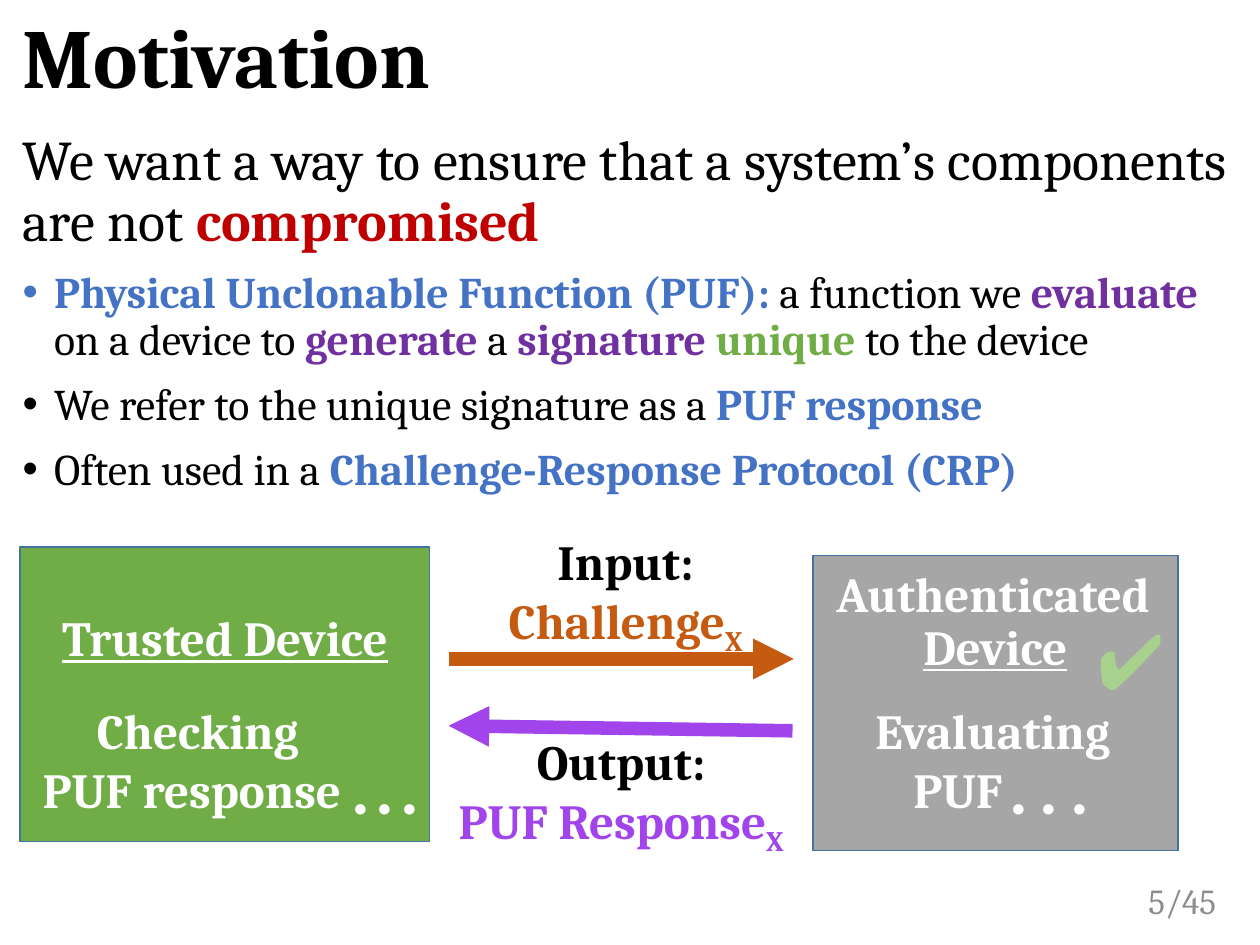
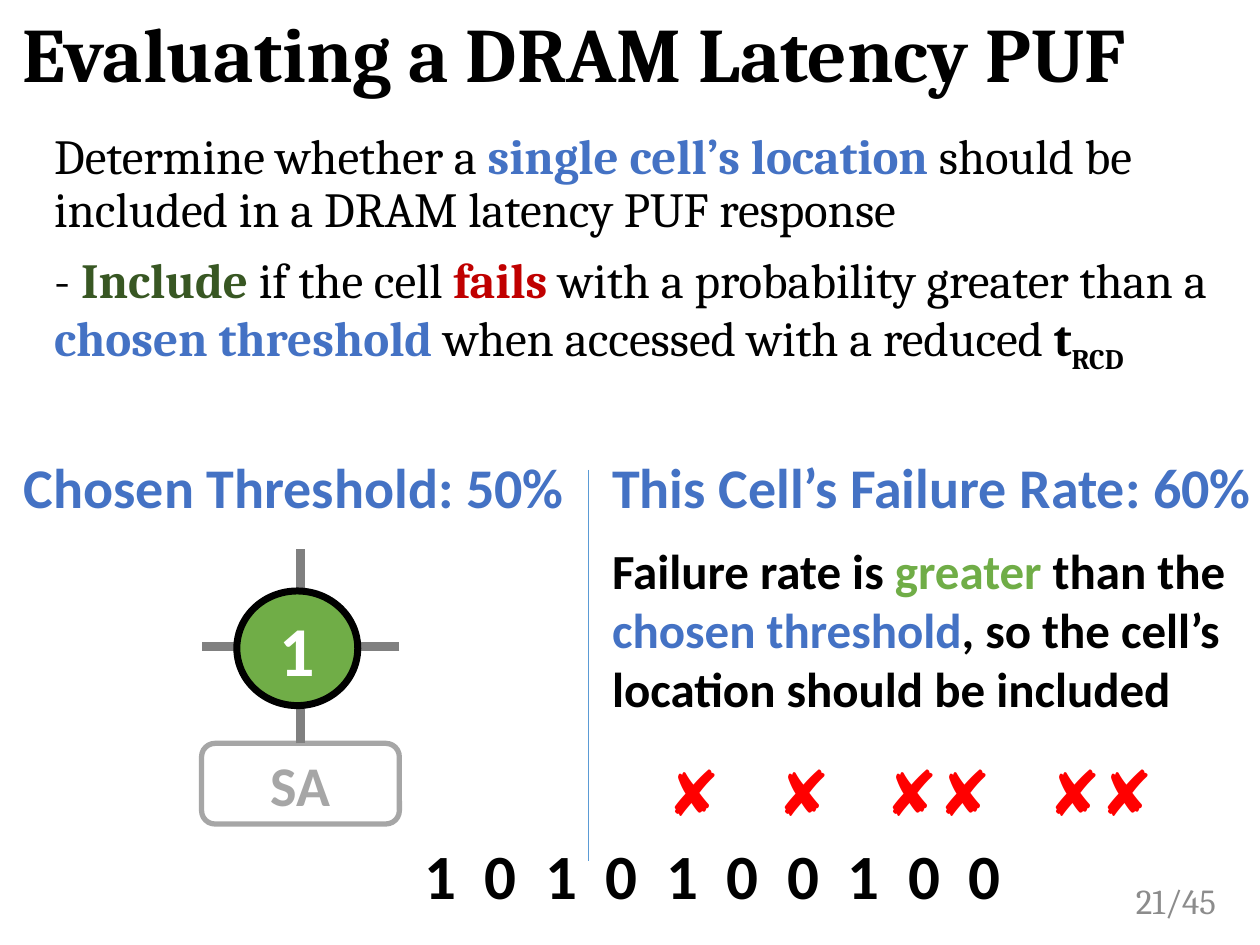
from pptx import Presentation
from pptx.dml.color import RGBColor
from pptx.enum.shapes import MSO_CONNECTOR, MSO_SHAPE
from pptx.enum.text import MSO_ANCHOR, MSO_AUTO_SIZE, PP_ALIGN
from pptx.oxml.ns import qn
from pptx.util import Inches, Pt
from lxml import etree

LEFT, CENTER, RIGHT = PP_ALIGN.LEFT, PP_ALIGN.CENTER, PP_ALIGN.RIGHT
TOP, MIDDLE = MSO_ANCHOR.TOP, MSO_ANCHOR.MIDDLE
NO_AUTOFIT = MSO_AUTO_SIZE.NONE
STRAIGHT = MSO_CONNECTOR.STRAIGHT
RECTANGLE, ROUNDED, OVAL = MSO_SHAPE.RECTANGLE, MSO_SHAPE.ROUNDED_RECTANGLE, MSO_SHAPE.OVAL

SERIF, SANS = "Cambria", "Calibri"
BLACK = RGBColor(0x00, 0x00, 0x00)
WHITE = RGBColor(0xFF, 0xFF, 0xFF)
BLUE = RGBColor(0x44, 0x72, 0xC4)
GREEN = RGBColor(0x70, 0xAD, 0x47)
DARK_GREEN = RGBColor(0x38, 0x57, 0x23)
LIGHT_GREEN = RGBColor(0xA9, 0xD1, 0x8E)
PURPLE = RGBColor(0x70, 0x30, 0xA0)
VIOLET = RGBColor(0xA1, 0x44, 0xEB)
ORANGE = RGBColor(0xC5, 0x5A, 0x11)
DARK_RED = RGBColor(0xC0, 0x00, 0x00)
RED = RGBColor(0xFF, 0x00, 0x00)
GRAY = RGBColor(0xA6, 0xA6, 0xA6)
WIRE_GRAY = RGBColor(0x80, 0x80, 0x80)
PAGE_GRAY = RGBColor(0x8C, 0x8C, 0x8C)
OUTLINE_BLUE = RGBColor(0x43, 0x73, 0x9E)
DIVIDER_BLUE = RGBColor(0x5B, 0x9B, 0xD5)
SLIDE_TOTAL = 45


def place(shape, box):
    shape.left, shape.top, shape.width, shape.height = map(Inches, box)


def write(paragraph, runs, size, color=BLACK, font=SERIF, bold=False, align=LEFT):
    paragraph.alignment = align
    paragraph.font.name = font
    paragraph.font.size = Pt(size)
    paragraph.font.bold = bold
    paragraph.font.color.rgb = color
    for part in [runs] if isinstance(runs, str) else runs:
        text, emphasis, subscript = (part, None, False) if isinstance(part, str) else (*part, False)[:3]
        run = paragraph.add_run()
        run.text = text
        if emphasis is not None:
            run.font.bold = True
            run.font.color.rgb = emphasis
        if subscript:
            run._r.get_or_add_rPr().set("baseline", "-25000")


def fill_frame(frame, lines, **style):
    for index, runs in enumerate(lines):
        paragraph = frame.add_paragraph() if index else frame.paragraphs[0]
        write(paragraph, runs, **style)


def add_text(slide, box, lines, anchor=TOP, **style):
    frame = slide.shapes.add_textbox(*map(Inches, box)).text_frame
    frame.word_wrap = True
    frame.vertical_anchor = anchor
    fill_frame(frame, lines, **style)
    return frame


def add_tabs(paragraph, stops):
    tab_list = etree.SubElement(paragraph._p.get_or_add_pPr(), qn("a:tabLst"))
    for stop in stops:
        etree.SubElement(tab_list, qn("a:tab"), pos=str(Inches(stop)), algn="l")


def add_tabbed_text(slide, box, text, stops, **style):
    frame = add_text(slide, box, [])
    add_tabs(frame.paragraphs[0], stops)
    fill_frame(frame, [text], **style)


def add_block(slide, kind, box, fill, line, line_width, text, **style):
    shape = slide.shapes.add_shape(kind, *map(Inches, box))
    shape.shadow.inherit = False
    shape.fill.solid()
    shape.fill.fore_color.rgb = fill
    shape.line.color.rgb = line
    shape.line.width = Pt(line_width)
    shape.text_frame.vertical_anchor = MIDDLE
    fill_frame(shape.text_frame, [text], bold=True, align=CENTER, **style)
    return shape


def add_line(slide, start, end, color, width, arrow=False):
    connector = slide.shapes.add_connector(STRAIGHT, *map(Inches, (*start, *end)))
    connector.line.color.rgb = color
    connector.line.width = Pt(width)
    if arrow:
        etree.SubElement(connector.line._get_or_add_ln(), qn("a:tailEnd"), type="triangle")
    etree.SubElement(connector._element.spPr, qn("a:effectLst"))
    return connector


def add_base_slide(presentation, title, title_size, number):
    slide = presentation.slides.add_slide(presentation.slide_layouts[1])
    place(slide.shapes.title, (0.08, 0.08, 9.83, 0.81))
    frame = slide.shapes.title.text_frame
    frame.auto_size = NO_AUTOFIT
    frame.vertical_anchor = TOP
    frame.paragraphs[0].line_spacing = 0.9
    fill_frame(frame, [title], size=title_size, bold=True)
    add_text(slide, (8.67, 6.95, 1.08, 0.4), [f"{number}/{SLIDE_TOTAL}"],
             anchor=MIDDLE, size=20, color=PAGE_GRAY, align=RIGHT)
    return slide


def fill_body(slide, box, items):
    body = slide.placeholders[1]
    place(body, box)
    frame = body.text_frame
    frame.auto_size = NO_AUTOFIT
    for index, (size, bulleted, runs) in enumerate(items):
        paragraph = frame.add_paragraph() if index else frame.paragraphs[0]
        paragraph.line_spacing = 0.9
        paragraph.space_before = Pt(10 if index else 0)
        properties = paragraph._p.get_or_add_pPr()
        indent = Inches(0.25) if bulleted else 0
        properties.set("marL", str(indent))
        properties.set("indent", str(-indent))
        if bulleted:
            etree.SubElement(properties, qn("a:buFont"), typeface="Arial")
            etree.SubElement(properties, qn("a:buChar"), char="•")
        else:
            etree.SubElement(properties, qn("a:buNone"))
        write(paragraph, runs, size)


def add_device(slide, box, fill, name, activity_box, activity, indents, dots):
    left, top = box[:2]
    device = add_block(slide, RECTANGLE, box, fill, OUTLINE_BLUE, 1, name, size=28, color=WHITE)
    frame = device.text_frame
    frame.vertical_anchor = TOP
    frame.margin_top = Inches(0.48)
    frame.paragraphs[0].font.underline = True
    frame.paragraphs[0].runs[0].font.underline = True
    x, y, width, height = activity_box
    activity_frame = add_text(slide, (left + x, top + y, width, height), activity,
                              size=28, color=WHITE, bold=True)
    for paragraph, indent in zip(activity_frame.paragraphs, indents):
        paragraph._p.get_or_add_pPr().set("marL", str(Inches(indent)))
    first_dot, dot_step = dots
    for index in range(3):
        add_text(slide, (left + first_dot + index * dot_step, top + y + 0.35, 0.48, 0.77),
                 ["."], size=40, color=WHITE, font=SANS, bold=True)


def add_protocol(slide, left, top):
    add_device(slide, (left + 6.29, top + 0.07, 2.9, 2.34), GRAY, "Device",
               (0.4, 1.1, 2.1, 1.04), ["Evaluating", "PUF"], (0, 0.3), (1.46, 0.245))
    add_device(slide, (left, top, 3.25, 2.34), GREEN, "Trusted Device",
               (0.08, 1.17, 2.8, 1.04), ["Checking", "PUF response"], (0.43, 0), (2.53, 0.195))
    add_text(slide, (left + 6.38, top + 0.08, 2.75, 0.57), ["Authenticated"],
             size=28, color=WHITE, bold=True)
    add_text(slide, (left + 8.45, top + 0.47, 0.82, 0.84), ["✔"],
             size=44, color=LIGHT_GREEN, font=SANS)
    add_line(slide, (left + 3.4, top + 0.89), (left + 6.14, top + 0.89), ORANGE, 7.75, arrow=True)
    add_line(slide, (left + 6.13, top + 1.46), (left + 3.4, top + 1.42), VIOLET, 7.75, arrow=True)
    labels = [((3.7, -0.17, 2.21, 1.04), "Input:", "Challenge", ORANGE),
              ((3.32, 1.42, 2.9, 1.04), "Output:", "PUF Response", VIOLET)]
    for (x, y, width, height), heading, message, color in labels:
        add_text(slide, (left + x, top + y, width, height),
                 [heading, [(message, color), ("X", color, True)]],
                 size=28, bold=True, align=CENTER)


def add_motivation_slide(presentation):
    slide = add_base_slide(presentation, "Motivation", 48, 5)
    fill_body(slide, (0.08, 1, 9.83, 3.03), [
        (32, False, ["We want a way to ensure that a system’s components are not ",
                     ("compromised", DARK_RED)]),
        (25, True, [("Physical Unclonable Function (PUF):", BLUE), " a function we ",
                    ("evaluate ", PURPLE), "on a device to ", ("generate ", PURPLE), "a ",
                    ("signature ", PURPLE), ("unique ", GREEN), "to the device"]),
        (25, True, ["We refer to the unique signature as a ", ("PUF response", BLUE)]),
        (25, True, ["Often used in a ", ("Challenge-Response Protocol (CRP)", BLUE)]),
    ])
    add_protocol(slide, 0.16, 4.34)


def add_cell(slide, left, top):
    amplifier = add_block(slide, ROUNDED, (left, top + 1.54, 1.57, 0.64), WHITE, GRAY, 3,
                          "SA", size=32, color=GRAY, font=SANS)
    middle = left + 1.57 / 2
    bitline = add_line(slide, (middle, top + 1.54), (middle, top), WIRE_GRAY, 5)
    bitline.begin_connect(amplifier, 0)
    add_line(slide, (left + 1.57, top + 0.77), (left, top + 0.77), WIRE_GRAY, 5)
    add_block(slide, OVAL, (left + 0.28, top + 0.33, 0.96, 0.91), GREEN, BLACK, 4,
              "1", size=40, color=WHITE, font=SANS)


def add_failure_rate(slide, left, top):
    add_text(slide, (left, top, 5.51, 0.64), ["This Cell’s Failure Rate: 60%"],
             size=32, color=BLUE, font=SANS, bold=True)
    add_text(slide, (left, top + 0.7, 5.24, 1.51),
             [["Failure rate is ", ("greater", GREEN), " than the ", ("chosen threshold", BLUE),
               ", so the cell’s location should be included"]],
             size=28, font=SANS, bold=True)
    add_tabbed_text(slide, (left + 0.44, top + 2.39, 4.8, 0.71), "✘\t✘\t✘✘\t✘✘",
                    (0.87, 1.73, 3.02), size=36, color=RED, font=SANS)


def add_evaluation_slide(presentation):
    slide = add_base_slide(presentation, "Evaluating a DRAM Latency PUF", 44, 21)
    fill_body(slide, (0.33, 1, 9.58, 2.62), [
        (28, False, ["Determine whether a ", ("single cell’s location ", BLUE),
                     "should be included in a DRAM latency PUF response"]),
        (28, False, ["- ", ("Include", DARK_GREEN), " if the cell ", ("fails", DARK_RED),
                     " with a probability greater than a ", ("chosen threshold ", BLUE),
                     "when accessed with a reduced ", ("t", BLACK), ("RCD", BLACK, True)]),
    ])
    add_line(slide, (4.67, 3.73), (4.67, 6.83), DIVIDER_BLUE, 0.5)
    add_text(slide, (0.09, 3.54, 4.6, 0.64), ["Chosen Threshold: 50%"],
             size=32, color=BLUE, font=SANS, bold=True)
    add_cell(slide, 1.6, 4.36)
    add_failure_rate(slide, 4.76, 3.54)
    add_tabbed_text(slide, (3.27, 6.59, 4.84, 0.71), "\t".join("1010100100"),
                    [0.48 * step for step in range(1, 10)], size=36, font=SANS, bold=True)


def main():
    presentation = Presentation()
    presentation.slide_width = Inches(10)
    presentation.slide_height = Inches(7.5)
    add_motivation_slide(presentation)
    add_evaluation_slide(presentation)
    presentation.save("out.pptx")


if __name__ == "__main__":
    main()
